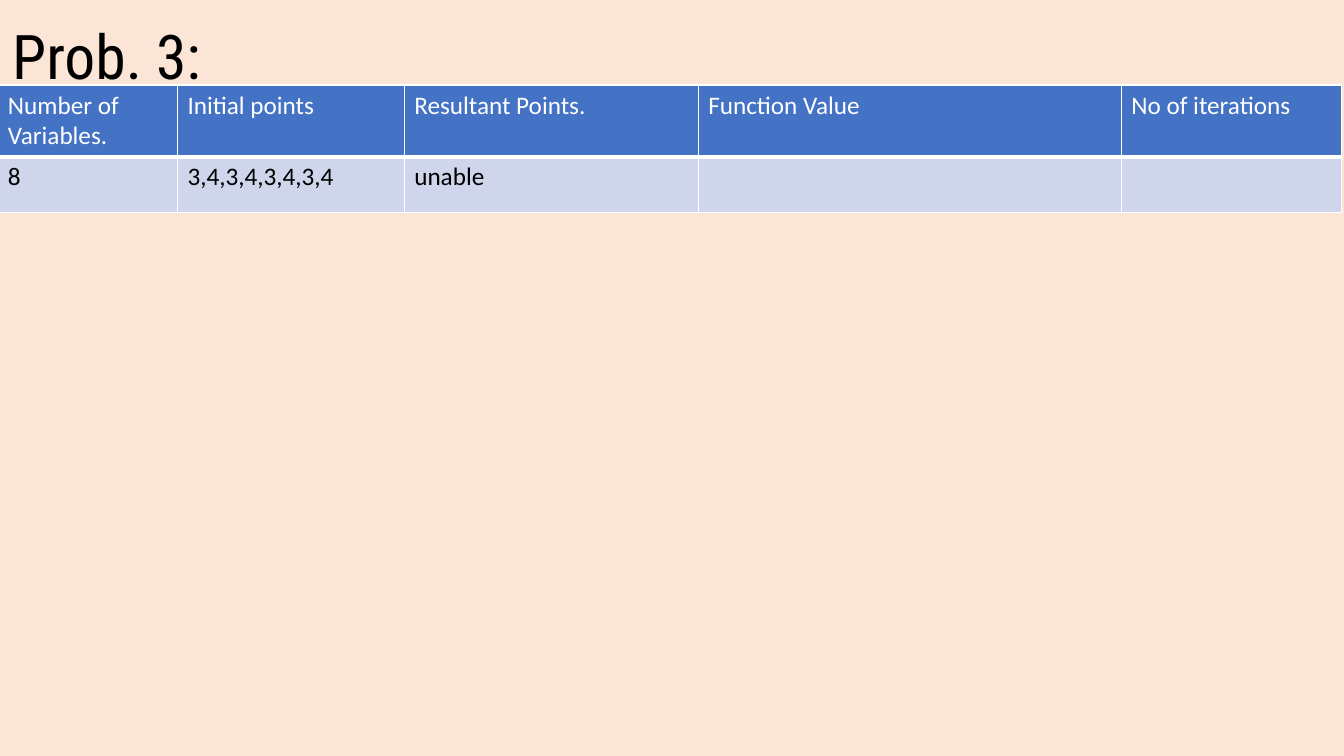
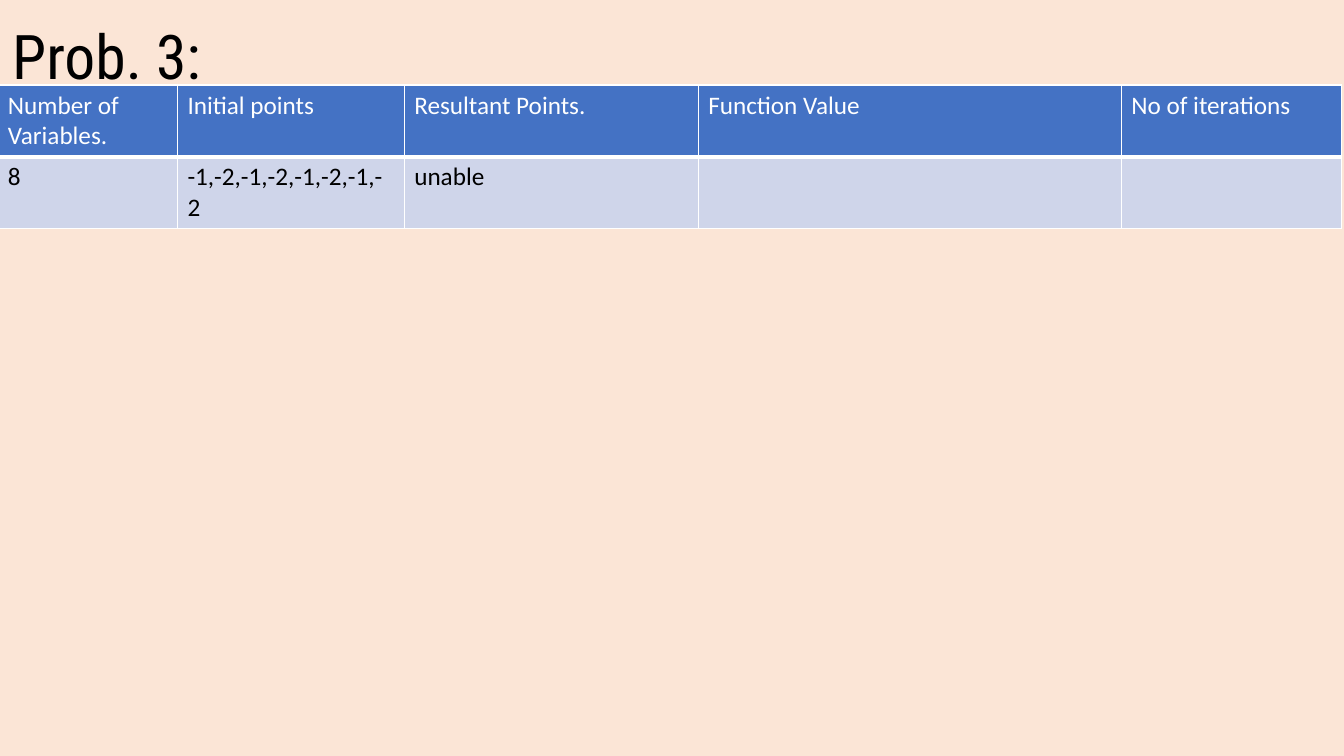
from dataclasses import dataclass

from lxml import etree
from pptx import Presentation
from pptx.dml.color import RGBColor
from pptx.enum.text import MSO_ANCHOR, PP_ALIGN
from pptx.oxml.ns import qn
from pptx.util import Emu, Pt

LEFT = PP_ALIGN.LEFT
MIDDLE = MSO_ANCHOR.MIDDLE
PX = 9525
TITLE_ONLY = 5


@dataclass(frozen=True)
class Theme:
    background: str = "FBE5D6"
    header: str = "4472C4"
    band: str = "CFD5EA"
    light: str = "FFFFFF"
    dark: str = "000000"
    title_font: str = "Roboto Condensed"
    body_font: str = "Calibri"
    title_size: int = 44
    body_size: int = 18


THEME = Theme()
HEADINGS = ["Number of Variables.", "Initial points", "Resultant Points.",
            "Function Value", "No of iterations"]
COLUMN_WIDTHS = [171, 216, 280, 403, 210]
ROW_HEIGHT = 53
RESULTS = [
    ["8", "3,4,3,4,3,4,3,4", "unable", "", ""],
    ["8", "-1,-2,-1,-2,-1,-2,-1,-2", "unable", "", ""],
]


def write_text(frame, text, *, font=THEME.body_font, size=THEME.body_size,
               color=THEME.dark, spacing=1.0):
    paragraph = frame.paragraphs[0]
    paragraph.alignment = LEFT
    paragraph.line_spacing = spacing
    paragraph.font.size = Pt(size)
    if text:
        run = paragraph.add_run()
        run.text = text
        run.font.name = font
        run.font.size = Pt(size)
        run.font.color.rgb = RGBColor.from_string(color)


def format_cell(cell, fill, bottom_width):
    properties = cell._tc.get_or_add_tcPr()
    for side, width in (("L", 1), ("R", 1), ("T", 1), ("B", bottom_width)):
        line = etree.SubElement(properties, qn(f"a:ln{side}"), w=str(Pt(width)))
        solid = etree.SubElement(line, qn("a:solidFill"))
        etree.SubElement(solid, qn("a:srgbClr"), val=THEME.light)
    cell.fill.solid()
    cell.fill.fore_color.rgb = RGBColor.from_string(fill)


presentation = Presentation()
presentation.slide_width = Emu(1280 * PX)
presentation.slide_height = Emu(720 * PX)

background = presentation.slide_master.background.fill
background.solid()
background.fore_color.rgb = RGBColor.from_string(THEME.background)
layout = presentation.slide_layouts[TITLE_ONLY]

for result in RESULTS:
    slide = presentation.slides.add_slide(layout)
    title = slide.shapes.title
    title.left, title.top, title.width, title.height = (
        Emu(length * PX) for length in (2, 13, 1176, 87))
    title.text_frame.vertical_anchor = MIDDLE
    write_text(title.text_frame, "Prob. 3:", font=THEME.title_font,
               size=THEME.title_size, spacing=0.9)

    rows = [(HEADINGS, THEME.header, THEME.light, 3),
            (result, THEME.band, THEME.dark, 1)]
    table = slide.shapes.add_table(
        len(rows), len(HEADINGS), Emu(-2 * PX), Emu(81 * PX),
        Emu(sum(COLUMN_WIDTHS) * PX), Emu(len(rows) * ROW_HEIGHT * PX)).table
    table.first_row = False
    table.horz_banding = False
    for column, width in zip(table.columns, COLUMN_WIDTHS):
        column.width = Emu(width * PX)
    for row, (texts, fill, color, bottom_width) in zip(table.rows, rows):
        row.height = Emu(ROW_HEIGHT * PX)
        for cell, text in zip(row.cells, texts):
            format_cell(cell, fill, bottom_width)
            write_text(cell.text_frame, text, color=color)

presentation.save("out.pptx")
